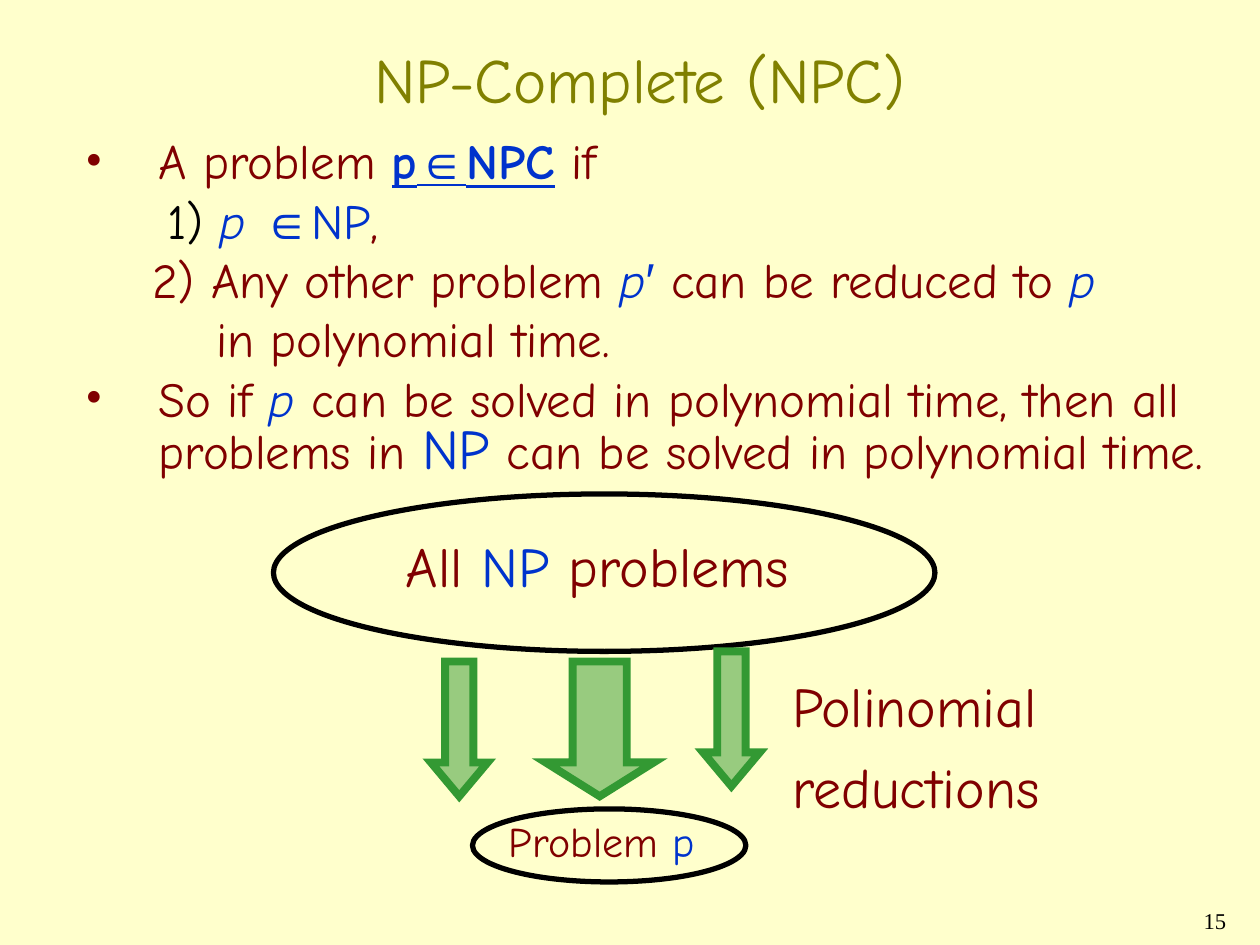
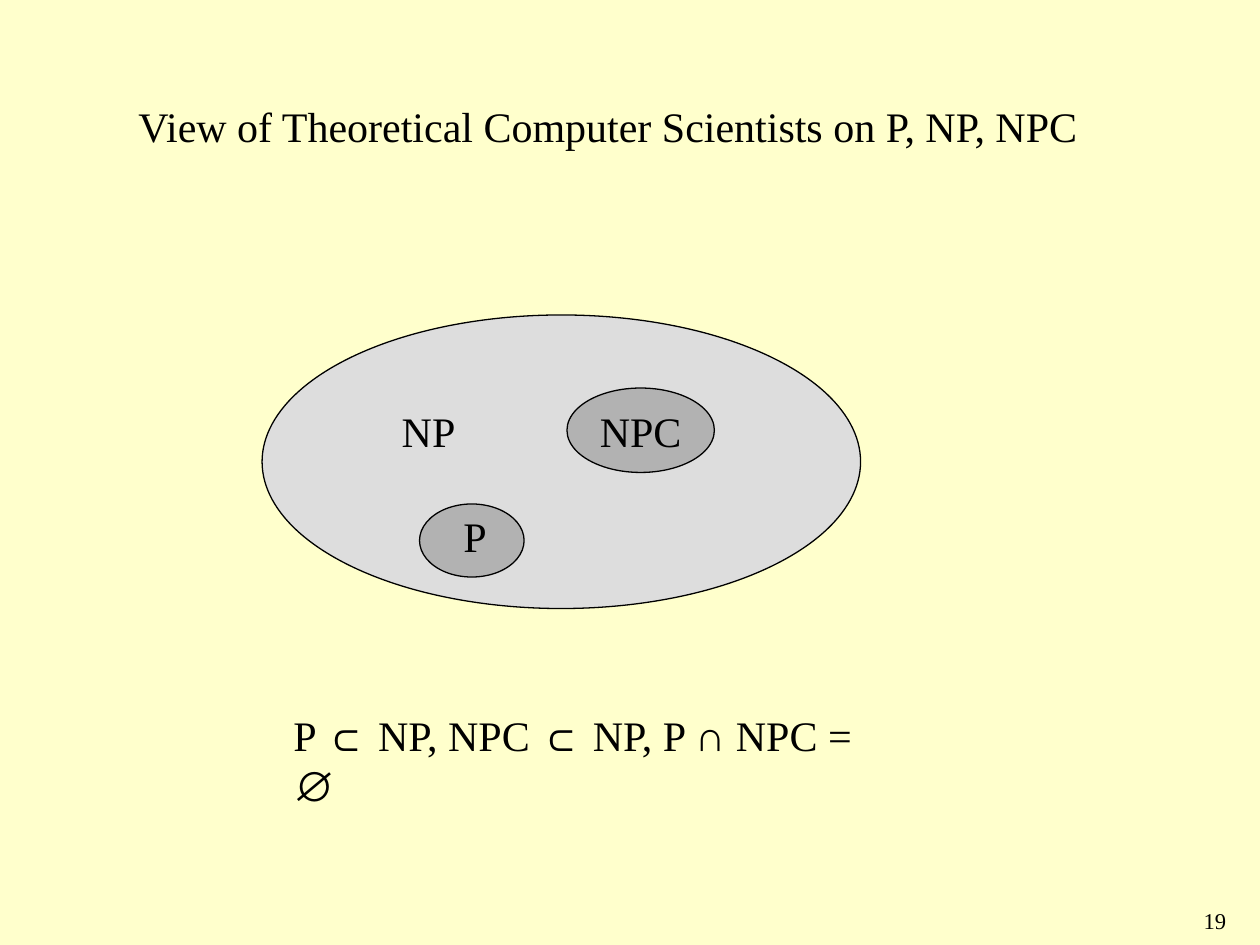
from lxml import etree
from pptx import Presentation
from pptx.dml.color import RGBColor
from pptx.enum import shapes, text
from pptx.oxml.ns import qn
from pptx.util import Inches, Pt

COLORS = {
    "paper": "FFFFCC", "ink": "000000", "olive": "808000", "maroon": "800000",
    "blue": "0033CC", "green": "339933", "light": "DDDDDD", "grey": "B2B2B2",
}
COMIC, SERIF, SYMBOLS = "Comic Neue", "Times New Roman", "Arial"
OVAL, ARROW = shapes.MSO_SHAPE.OVAL, shapes.MSO_SHAPE.DOWN_ARROW
LEFT, CENTER, RIGHT = text.PP_ALIGN.LEFT, text.PP_ALIGN.CENTER, text.PP_ALIGN.RIGHT
MIDDLE = text.MSO_ANCHOR.MIDDLE


def rgb(name):
    return RGBColor.from_string(COLORS[name])


def add_runs(paragraph, runs, size, font, color):
    """Each run is a text, or a text with a dict of what differs."""
    for item in runs:
        words, changes = (item, {}) if isinstance(item, str) else item
        run = paragraph.add_run()
        run.text = words
        run.font.size = Pt(changes.get("size", size))
        run.font.name = changes.get("font", font)
        run.font.color.rgb = rgb(changes.get("color", color))
        run.font.bold = changes.get("bold", False)
        run.font.italic = changes.get("italic", False)
        run.font.underline = changes.get("underline", False)


def add_label(slide, box, lines, size, font=SERIF, color="ink", align=LEFT,
              anchor=text.MSO_ANCHOR.TOP, wrap=False, before=0, spacing=1.0):
    frame = slide.shapes.add_textbox(*map(Inches, box)).text_frame
    frame.word_wrap = wrap
    frame.vertical_anchor = anchor
    for index, runs in enumerate(lines):
        paragraph = frame.add_paragraph() if index else frame.paragraphs[0]
        paragraph.alignment = align
        paragraph.space_before = Pt(before)
        paragraph.line_spacing = spacing
        add_runs(paragraph, runs, size, font, color)
    return frame


def add_figure(slide, kind, box, fill=None, line="ink", width=0.75):
    figure = slide.shapes.add_shape(kind, *map(Inches, box))
    figure.shadow.inherit = False
    if fill:
        figure.fill.solid()
        figure.fill.fore_color.rgb = rgb(fill)
    else:
        figure.fill.background()
    figure.line.color.rgb = rgb(line)
    figure.line.width = Pt(width)
    return figure


def add_page(prs, number):
    slide = prs.slides.add_slide(prs.slide_layouts[6])
    add_label(slide, (7.75, 7.17, 2.08, 0.33), [[number]], 12.9,
              align=RIGHT, wrap=True, spacing=0.9)
    return slide


# Definition list: margin and bullet for each paragraph
def indent(paragraph, margin, bullet):
    props = paragraph._p.get_or_add_pPr()
    props.set("marL", str(Inches(margin)))
    props.set("indent", str(-Inches(margin) if bullet else 0))
    if bullet:
        color = etree.SubElement(props, qn("a:buClr"))
        etree.SubElement(color, qn("a:srgbClr")).set("val", COLORS["maroon"])
        etree.SubElement(props, qn("a:buFont")).set("typeface", SERIF)
        etree.SubElement(props, qn("a:buChar")).set("char", "•")
    else:
        etree.SubElement(props, qn("a:buNone"))


def add_definition(slide, box):
    blue = {"color": "blue"}
    symbol = {**blue, "font": SYMBOLS}
    strong = {**blue, "bold": True, "underline": True}
    slanted = {**blue, "italic": True}
    p = ("p", slanted)
    lines = [
        (0.58, True, ["A problem ", ("p", strong),
                      ("∈", {**strong, "font": SYMBOLS}), ("NPC", strong), " if"]),
        (0.65, False, [("1)", {"color": "ink"}), (" p ", slanted), ("∈", symbol),
                       ("NP", blue), ","]),
        (0.53, False, ["2) Any other problem ", p, ("′", symbol),
                       " can be reduced to ", p]),
        (1.04, False, ["in polynomial time."]),
        (0.58, True, ["So if ", p, " can be solved in polynomial time, then all problems in ",
                      ("NP", {**blue, "size": 32}), " can be solved in polynomial time."]),
    ]
    frame = add_label(slide, box, [runs for _, _, runs in lines], 28, COMIC, "maroon",
                      wrap=True, before=7, spacing=0.8)
    for paragraph, (margin, bullet, _) in zip(frame.paragraphs, lines):
        indent(paragraph, margin, bullet)


# Green arrow: half transparent, with sharp corners
def add_arrow(slide, box, head):
    arrow = add_figure(slide, ARROW, box, "green", "green", 4.5)
    arrow.adjustments[0], arrow.adjustments[1] = 0.5, head
    props = arrow._element.spPr
    etree.SubElement(props.find(qn("a:solidFill"))[0], qn("a:alpha")).set("val", "50000")
    etree.SubElement(props.find(qn("a:ln")), qn("a:miter")).set("lim", "800000")


# Reduction diagram: all NP problems flow down to problem p
def add_reductions(slide, box):
    x, y = box[:2]
    note = {"font": COMIC, "color": "maroon"}
    add_figure(slide, OVAL, (x, y, 5.25, 1.25), width=3)
    add_label(slide, (x + 0.95, y + 0.25, 3.4, 0.64),
              [["All ", ("NP", {"color": "blue"}), " problems"]], 32, before=8, **note)
    add_figure(slide, OVAL, (x + 1.58, y + 2.5, 2.17, 0.58), width=3)
    for dx, dy, width, head in ((2.16, 1.33, 0.86, 0.313), (1.25, 1.33, 0.45, 0.596),
                                (3.41, 1.25, 0.45, 0.596)):
        add_arrow(slide, (x + dx, y + dy, width, 1.07), head)
    add_label(slide, (x + 1.77, y + 2.5, 1.68, 0.5),
              [["Problem", (" p", {"color": "blue"})]], 24, before=6, **note)
    add_label(slide, (x + 4.02, y + 1.36, 2.31, 1.28),
              [["Polinomial"], ["reductions"]], 32, before=8, **note)


# Set diagram: P and NPC inside NP
def add_sets(slide, box):
    x, y, width, height = box
    add_figure(slide, OVAL, (x, y, width, height), "light")
    npc = add_figure(slide, OVAL, (x + 2.42, y + 0.58, 1.17, 0.67), "grey").text_frame
    npc.word_wrap = False
    npc.vertical_anchor = MIDDLE
    npc.paragraphs[0].alignment = CENTER
    add_runs(npc.paragraphs[0], ["NPC"], 24, SERIF, "ink")
    add_figure(slide, OVAL, (x + 1.25, y + 1.5, 0.83, 0.58), "grey")
    add_label(slide, (x + 1.5, y + 1.5, 0.39, 0.5), [["P"]], 24)
    add_label(slide, (x + 1.01, y + 0.67, 0.8, 0.5), [["NP"]], 24, wrap=True)


def build_npc_slide(prs):
    slide = add_page(prs, "15")
    add_label(slide, (0.83, 0, 8.5, 1.25), [["NP-Complete (NPC)"]], 36, COMIC, "olive",
              CENTER, MIDDLE, wrap=True)
    add_definition(slide, (0.58, 1.08, 9.17, 2.92))
    add_reductions(slide, (2.17, 3.92, 6.33, 3.08))


def build_sets_slide(prs):
    slide = add_page(prs, "19")
    add_label(slide, (1, 0.75, 7.75, 0.5),
              [["View of Theoretical Computer Scientists on P, NP, NPC"]], 24)
    add_sets(slide, (2.08, 2.5, 4.75, 2.33))
    subset, meet, empty = ((sign, {"font": SYMBOLS}) for sign in "⊂∩∅")
    add_label(slide, (2.23, 5.58, 4.97, 0.5),
              [["P ", subset, " NP, NPC ", subset, " NP, P ", meet, " NPC = ", empty]],
              24, wrap=True)


def main():
    prs = Presentation()
    prs.slide_width, prs.slide_height = Inches(10), Inches(7.5)
    paper = prs.slide_master.background.fill
    paper.solid()
    paper.fore_color.rgb = rgb("paper")
    build_npc_slide(prs)
    build_sets_slide(prs)
    prs.save("out.pptx")


if __name__ == "__main__":
    main()
